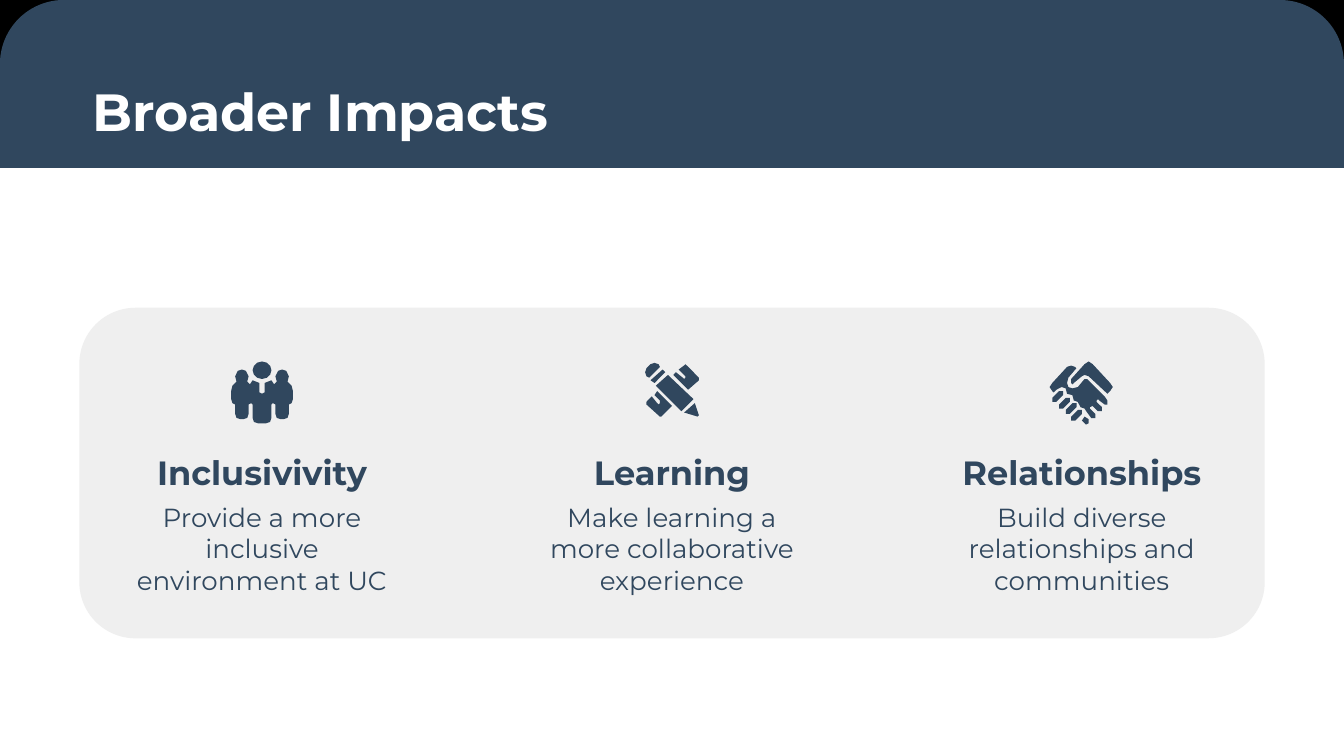
from dataclasses import dataclass

from pptx import Presentation
from pptx.dml.color import RGBColor
from pptx.enum.shapes import MSO_SHAPE
from pptx.enum.text import MSO_ANCHOR, PP_ALIGN
from pptx.util import Pt

RECT = MSO_SHAPE.RECTANGLE
ROUND = MSO_SHAPE.ROUNDED_RECTANGLE
ROUND_TOP = MSO_SHAPE.ROUND_2_SAME_RECTANGLE
OVAL = MSO_SHAPE.OVAL
TOP = MSO_ANCHOR.TOP
LEFT, CENTER = PP_ALIGN.LEFT, PP_ALIGN.CENTER

PX = 9144
WIDTH = 1000
FIRST_CENTER, COLUMN_STEP = 195, 305
BODY_WIDTH = 210


@dataclass(frozen=True)
class Theme:
    navy: str = "30475E"
    panel: str = "EFEFEF"
    white: str = "FFFFFF"
    black: str = "000000"
    font: str = "Montserrat"
    title: int = 28
    heading: int = 18
    body: int = 14


class Deck:
    def __init__(self, prs, theme):
        self.theme = theme
        self.s = prs.slides.add_slide(prs.slide_layouts[6])

    def paint(self, sp, color):
        sp.shadow.inherit = False
        sp.fill.solid()
        sp.fill.fore_color.rgb = RGBColor.from_string(color)
        sp.line.fill.background()

    def shape(self, kind, box, color, adj=(), parent=None):
        shapes = (parent or self.s).shapes
        sp = shapes.add_shape(kind, *(v * PX for v in box))
        for i, value in enumerate(adj):
            sp.adjustments[i] = value
        self.paint(sp, color)

    def outline(self, points, parent):
        builder = parent.shapes.build_freeform(*points[0], scale=PX)
        builder.add_line_segments(points[1:], close=True)
        self.paint(builder.convert_to_shape(), self.theme.navy)

    def icon(self, outlines, heads=()):
        group = self.s.shapes.add_group_shape()
        for box in heads:
            self.shape(OVAL, box, self.theme.navy, parent=group)
        for points in outlines:
            self.outline(points, group)

    def text(self, text, box, size, color, bold=False, align=CENTER, after=0):
        tf = self.s.shapes.add_textbox(*(v * PX for v in box)).text_frame
        margins = {f"margin_{side}": 10 * PX for side in ("left", "top", "right", "bottom")}
        p = tf.paragraphs[0]
        r = p.add_run()
        r.text = text
        formats = (
            (tf, {"word_wrap": True, "vertical_anchor": TOP, **margins}),
            (p, {"alignment": align, "space_after": Pt(after)}),
            (r.font, {"name": self.theme.font, "size": Pt(size), "bold": bold}),
        )
        for target, values in formats:
            for name, value in values.items():
                setattr(target, name, value)
        r.font.color.rgb = RGBColor.from_string(color)


HALF_CROWD = [
    (195, 293), (193, 292), (193, 285), (188, 283), (186, 286), (184, 284),
    (185, 280), (183, 276), (180, 275), (177, 276), (175, 280), (176, 284),
    (173, 287), (172, 291), (172, 297), (173, 300), (175, 301), (175, 308),
    (176, 311), (179, 312), (181, 312), (184, 311), (185, 308), (185, 301),
    (187, 300), (188, 301), (188, 311), (189, 314), (192, 315),
]
CROWD = [HALF_CROWD + [(2 * FIRST_CENTER - x, y) for x, y in reversed(HALF_CROWD[1:])]]

PENCIL_AND_RULER = [
    [(493, 275), (484, 283), (487, 285), (495, 277)],
    [(510, 271), (509, 272), (505, 275), (510, 280), (510, 281), (509, 282),
     (508, 281), (503, 277), (501, 279), (512, 290), (520, 283), (520, 281),
     (511, 272)],
    [(497, 279), (488, 287), (507, 306), (516, 297)],
    [(517, 300), (509, 307), (519, 310), (520, 309)],
    [(489, 291), (487, 294), (491, 298), (491, 300), (490, 301), (489, 300),
     (485, 295), (481, 299), (481, 301), (491, 310), (492, 310), (500, 302)],
    [(487, 270), (484, 271), (481, 274), (480, 277), (481, 280), (483, 281),
     (491, 273), (490, 271)],
]

FINGER = [(7, 0), (5, 0), (0, 5), (0, 8), (2, 8), (3, 8), (8, 3), (8, 0)]
FINGER_ORIGINS = [(783, 291), (788, 296), (793, 300), (797, 305)]
HANDSHAKE = [[(x + dx, y + dy) for dx, dy in FINGER] for x, y in FINGER_ORIGINS] + [
    [(807, 310), (805, 313), (807, 315), (808, 316), (810, 315), (810, 312)],
    [(797, 272), (794, 273), (783, 285), (781, 288), (783, 291), (784, 292),
     (786, 290), (790, 288), (793, 289), (794, 293), (798, 294), (799, 298),
     (802, 299), (804, 303), (807, 304), (809, 307), (812, 311), (813, 311),
     (815, 311), (815, 308), (811, 304), (811, 303), (813, 302), (817, 306),
     (818, 306), (820, 306), (820, 303), (816, 299), (816, 298), (817, 297),
     (818, 298), (822, 301), (823, 301), (824, 301), (824, 298), (822, 295),
     (809, 282), (808, 282), (807, 282), (802, 288), (798, 289), (795, 288),
     (794, 285), (795, 281), (801, 274), (800, 273)],
    [(810, 269), (807, 271), (797, 282), (797, 285), (798, 286), (799, 285),
     (805, 280), (807, 279), (810, 280), (824, 293), (826, 291), (828, 288),
     (826, 285), (813, 271)],
]

IMPACTS = [
    ("Inclusivivity", "Provide a more inclusive environment at UC", 232),
    ("Learning", "Make learning a more collaborative experience", 232),
    ("Relationships", "Build diverse relationships and communities", 240),
]


def main():
    prs = Presentation()
    prs.slide_width, prs.slide_height = WIDTH * PX, WIDTH * PX * 9 // 16
    t = Theme()
    deck = Deck(prs, t)
    deck.shape(RECT, (0, 0, WIDTH, 49), t.black)
    deck.shape(ROUND, (59, 229, 882, 246), t.panel, (0.17,))
    deck.shape(ROUND_TOP, (0, 0, WIDTH, 125), t.navy, (0.38, 0))
    deck.text("Broader Impacts", (59, 49, 389, 63), t.title, t.white, True, LEFT)
    for i, (heading, body, width) in enumerate(IMPACTS):
        center = FIRST_CENTER + i * COLUMN_STEP
        deck.text(heading, (center - width // 2, 326, width, 39), t.heading, t.navy, True, after=16)
        deck.text(body, (center - BODY_WIDTH // 2, 363, BODY_WIDTH, 87), t.body, t.navy)
    deck.icon(PENCIL_AND_RULER)
    deck.icon(HANDSHAKE)
    deck.icon(CROWD, [(188, 269, 14, 13)])
    prs.save("out.pptx")


if __name__ == "__main__":
    main()
